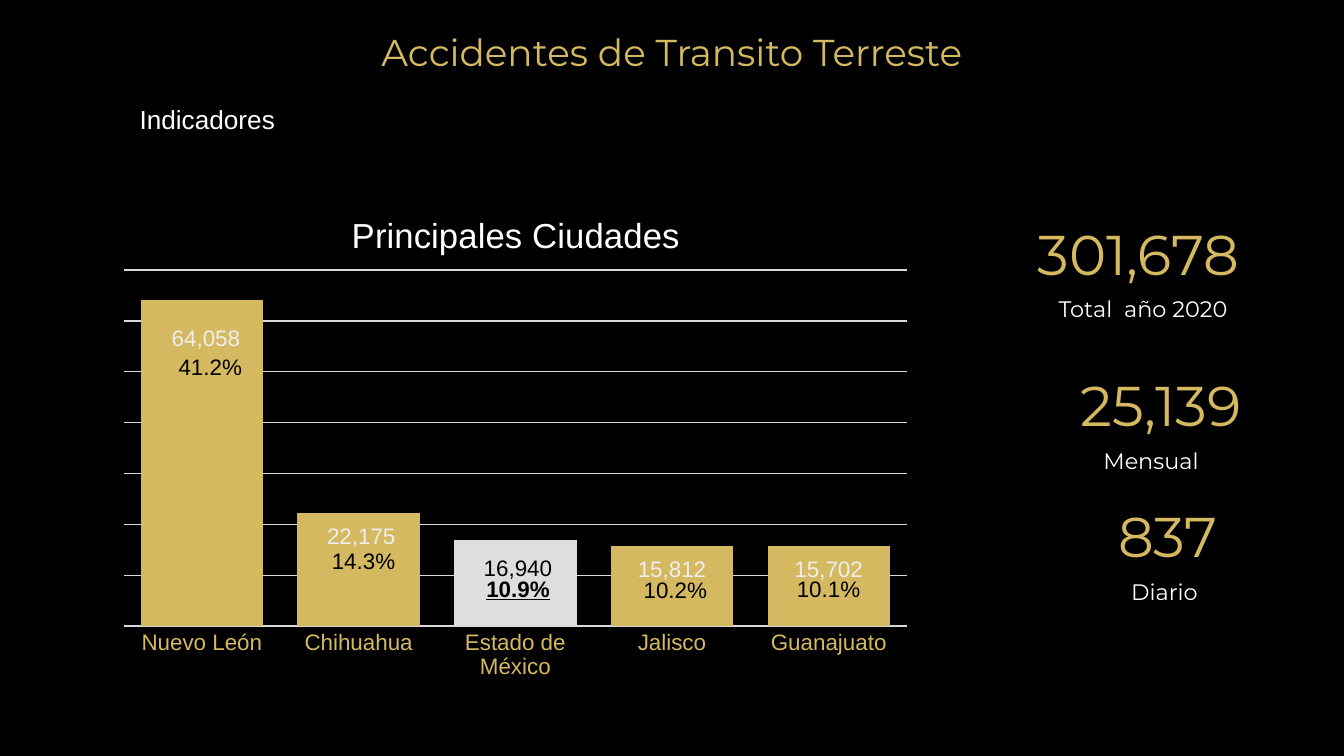
from lxml.etree import SubElement
from pptx import Presentation
from pptx.chart.data import CategoryChartData
from pptx.dml.color import RGBColor
from pptx.enum.chart import XL_CHART_TYPE, XL_LABEL_POSITION, XL_TICK_MARK
from pptx.enum.text import MSO_ANCHOR, MSO_AUTO_SIZE, PP_ALIGN
from pptx.oxml.ns import qn
from pptx.util import Emu, Pt

GOLD = RGBColor(0xD5, 0xB9, 0x61)
WHITE = RGBColor(0xFF, 0xFF, 0xFF)
BLACK = RGBColor(0x00, 0x00, 0x00)
SILVER = RGBColor(0xDE, 0xDE, 0xDE)
PALE = RGBColor(0xEE, 0xEE, 0xEE)
GRID = RGBColor(0xD9, 0xD9, 0xD9)
HEADING_FONT = "Montserrat"
BODY_FONT = "Arial"
EMU_PER_PX = 9144
HIGHLIGHT = 2

# city, accidents, share, share left and top within the chart, label shift right and down
CITIES = [
    ("Nuevo León", 64058, "41.2%", 43, 116, 3, 16),
    ("Chihuahua", 22175, "14.3%", 157, 260, 2, 5),
    ("Estado de México", 16940, "10.9%", 272, 281, 2, 9),
    ("Jalisco", 15812, "10.2%", 389, 282, 0, 5),
    ("Guanajuato", 15702, "10.1%", 503, 281, 0, 5),
]
# figure, caption, left, top, caption left relative to the figure
TOTALS = [
    ("301,678", "Total  año 2020", 724, 151, -12),
    ("25,139", "Mensual", 741, 264, -23),
    ("837", "Diario", 746, 361, -18),
]


def px(length):
    return Emu(length * EMU_PER_PX)


def style_font(font, name, size, color):
    font.name = name
    font.size = Pt(size)
    font.color.rgb = color


def write(frame, text, name, size, color, align=None):
    para = frame.paragraphs[0]
    if align is not None:
        para.alignment = align
    span = para.add_run()
    span.text = text
    style_font(span.font, name, size, color)
    return span


def set_insets(frame, inset):
    frame.margin_left = frame.margin_right = px(inset)
    frame.margin_top = frame.margin_bottom = px(inset)


def add_text(page, left, top, width, height):
    box = page.shapes.add_textbox(px(left), px(top), px(width), px(height))
    box.text_frame.word_wrap = True
    return box.text_frame


def add_title(page, left, top, width, height):
    box = page.shapes.title
    box.left, box.top, box.width, box.height = map(px, (left, top, width, height))
    frame = box.text_frame
    frame.auto_size = MSO_AUTO_SIZE.NONE
    frame.vertical_anchor = MSO_ANCHOR.BOTTOM
    set_insets(frame, 10)
    write(frame, "Accidentes de Transito Terreste", HEADING_FONT, 20, GOLD, PP_ALIGN.CENTER)


def add_total(page, left, top, figure, caption, caption_shift):
    number = add_text(page, left, top, 246, 72)
    number.vertical_anchor = MSO_ANCHOR.BOTTOM
    label = add_text(page, left + caption_shift, top + 59, 277, 44)
    for frame, text, size, color in ((number, figure, 30, GOLD), (label, caption, 12, WHITE)):
        set_insets(frame, 10)
        write(frame, text, HEADING_FONT, size, color, PP_ALIGN.CENTER)


def set_layout(parent, index, **values):
    """Give a chart part a manual layout, as fractions of the chart."""
    for old in parent.findall(qn("c:layout")):
        parent.remove(old)
    layout = SubElement(parent, qn("c:layout"))
    manual = SubElement(layout, qn("c:manualLayout"))
    for tag, value in values.items():
        SubElement(manual, qn(f"c:{tag}")).set("val", str(value))
    parent.insert(index, layout)


def style_axes(chart):
    cities = chart.category_axis
    cities.major_tick_mark = XL_TICK_MARK.NONE
    style_font(cities.tick_labels.font, BODY_FONT, 12, GOLD)
    values = chart.value_axis
    values.minimum_scale, values.maximum_scale, values.major_unit = 0, 70000, 10000
    values.visible = False
    for line in (cities.format.line, values.major_gridlines.format.line):
        line.color.rgb = GRID
        line.width = Pt(0.75)


def style_columns(plot):
    plot.gap_width, plot.overlap, plot.vary_by_categories = 28, -27, False
    series = plot.series[0]
    series.format.fill.solid()
    series.format.fill.fore_color.rgb = GOLD
    labels = series.data_labels
    labels.show_value = True
    labels.number_format = "#,##0"
    labels.number_format_is_linked = False
    for index, city in enumerate(CITIES):
        label = series.points[index].data_label
        color = BLACK if index == HIGHLIGHT else PALE
        write(label.text_frame, f"{city[1]:,}", BODY_FONT, 12, color)
        label.position = XL_LABEL_POSITION.INSIDE_END
    fill = series.points[HIGHLIGHT].format.fill
    fill.solid()
    fill.fore_color.rgb = SILVER


def place_chart_parts(chart, width, height):
    root = chart.element
    set_layout(next(root.iter(qn("c:title"))), 1, xMode="edge", yMode="edge",
               x=177 / width, y=11 / height)
    set_layout(next(root.iter(qn("c:plotArea"))), 0, layoutTarget="inner",
               xMode="edge", yMode="edge",
               x=12 / width, y=59 / height, w=583 / width, h=265 / height)
    for label, (*_, right, down) in zip(root.iter(qn("c:dLbl")), CITIES):
        set_layout(label, 1, x=right / width, y=down / height)
    for leader in root.iter(qn("c:showLeaderLines")):
        leader.set("val", "0")


def add_city_chart(page, left, top, width, height):
    data = CategoryChartData(number_format="#,##0")
    data.categories = [city[0] for city in CITIES]
    data.add_series("Series 1", [city[1] for city in CITIES])
    chart = page.shapes.add_chart(
        XL_CHART_TYPE.COLUMN_CLUSTERED, px(left), px(top), px(width), px(height), data
    ).chart
    chart.has_legend = False
    style_font(chart.font, BODY_FONT, 10, BLACK)
    chart.has_title = True
    heading = write(chart.chart_title.text_frame, "Principales Ciudades", BODY_FONT, 18.6, WHITE)
    heading.font.bold = False
    style_axes(chart)
    style_columns(chart.plots[0])
    place_chart_parts(chart, width, height)


def add_shares(page, left, top):
    for index, (_, _, share, share_left, share_top, _, _) in enumerate(CITIES):
        frame = add_text(page, left + share_left, top + share_top, 82, 30)
        span = write(frame, share, BODY_FONT, 12, BLACK)
        if index == HIGHLIGHT:
            span.font.bold = span.font.underline = True


def main():
    deck = Presentation()
    deck.slide_width = px(1000)
    deck.slide_height = Emu(deck.slide_width * 9 // 16)
    page = deck.slides.add_slide(deck.slide_layouts[5])
    page.background.fill.solid()
    page.background.fill.fore_color.rgb = BLACK
    add_title(page, 232, 9, 536, 56)
    for figure, caption, left, top, caption_shift in TOTALS:
        add_total(page, left, top, figure, caption, caption_shift)
    add_city_chart(page, 80, 142, 607, 371)
    write(add_text(page, 94, 72, 188, 34), "Indicadores", BODY_FONT, 14, WHITE)
    add_shares(page, 80, 142)
    deck.save("out.pptx")


if __name__ == "__main__":
    main()
